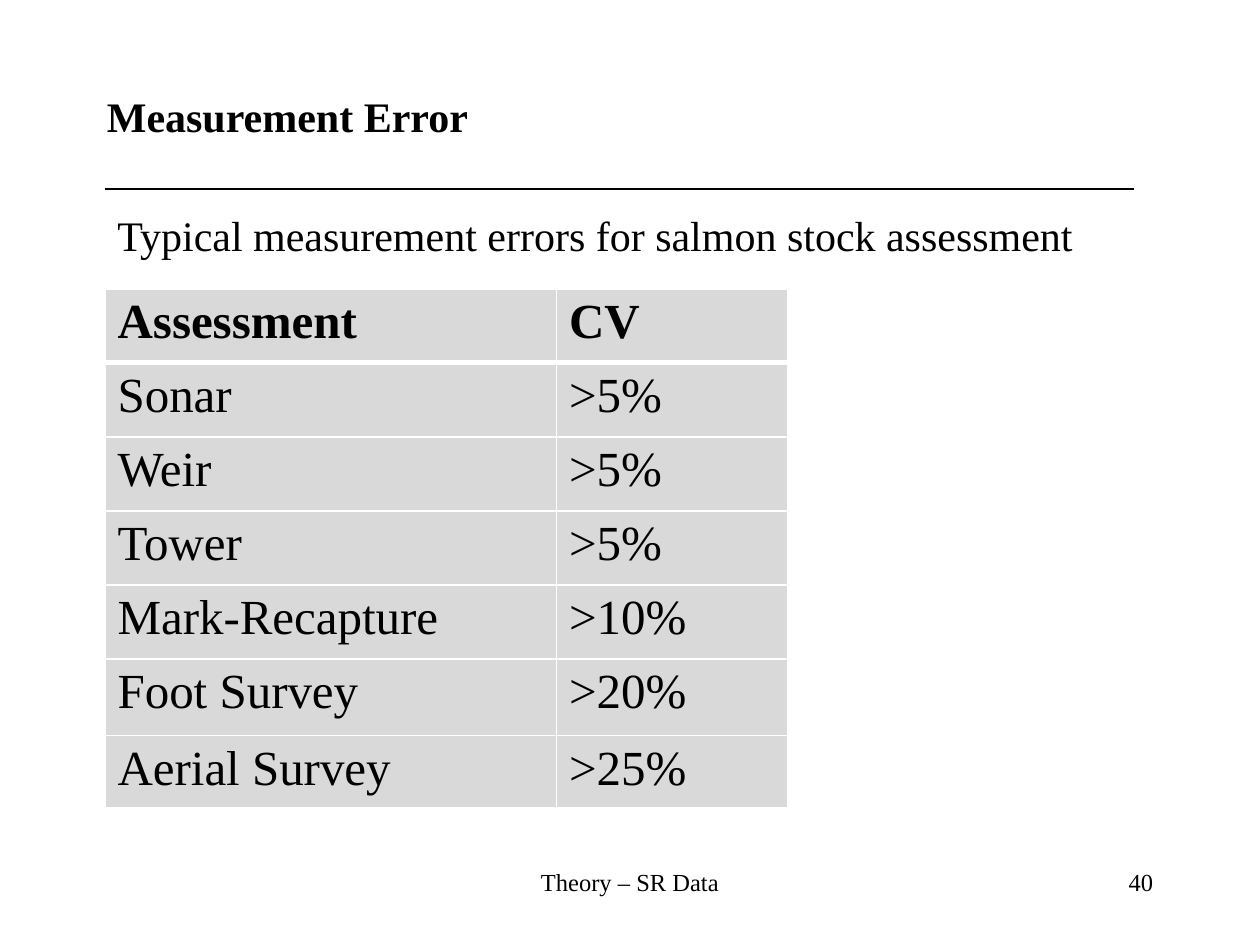
from pptx import Presentation
from pptx.dml.color import RGBColor
from pptx.enum.shapes import MSO_CONNECTOR
from pptx.enum.text import PP_ALIGN
from pptx.util import Pt
from lxml.etree import SubElement
from pptx.oxml.ns import qn

FONT = "Times New Roman"
ROWS = [
    ("Assessment", "CV"),
    ("Sonar", ">5%"),
    ("Weir", ">5%"),
    ("Tower", ">5%"),
    ("Mark-Recapture", ">10%"),
    ("Foot Survey", ">20%"),
    ("Aerial Survey", ">25%"),
]
WIDTHS = [258, 132]
HEIGHTS = [42.3] * 5 + [43.7, 41.5]


def color(code):
    return RGBColor.from_string(code)


def style(frame, size, bold=False, align=PP_ALIGN.LEFT):
    for para in frame.paragraphs:
        para.alignment = align
        for run in para.runs:
            run.font.name = FONT
            run.font.size = Pt(size)
            run.font.bold = bold
            run.font.color.rgb = color("000000")


def add_text(slide, box, text, size, bold=False, align=PP_ALIGN.LEFT, wrap=True):
    frame = slide.shapes.add_textbox(*map(Pt, box)).text_frame
    frame.word_wrap = wrap
    frame.text = text
    style(frame, size, bold, align)


def add_rule(slide, left, right, top):
    line = slide.shapes.add_connector(
        MSO_CONNECTOR.STRAIGHT, Pt(left), Pt(top), Pt(right), Pt(top))
    line.line.color.rgb = color("000000")
    line.line.width = Pt(0.75)
    SubElement(line._element.spPr, qn("a:effectLst"))


def add_edges(cell, top, bottom):
    props = cell._tc.get_or_add_tcPr()
    for side, width in (("L", 1), ("R", 1), ("T", top), ("B", bottom)):
        edge = SubElement(props, qn("a:ln" + side), w=str(Pt(width)))
        fill = SubElement(edge, qn("a:solidFill"))
        SubElement(fill, qn("a:srgbClr"), val="FFFFFF")


def add_grid(slide, left, top):
    grid = slide.shapes.add_table(
        len(ROWS), len(WIDTHS), Pt(left), Pt(top),
        Pt(sum(WIDTHS)), Pt(sum(HEIGHTS))).table
    for col, width in zip(grid.columns, WIDTHS):
        col.width = Pt(width)
    for row, height in zip(grid.rows, HEIGHTS):
        row.height = Pt(height)
    for i, values in enumerate(ROWS):
        for j, value in enumerate(values):
            cell = grid.cell(i, j)
            cell.text_frame.text = value
            style(cell.text_frame, 28, bold=i == 0)
            add_edges(cell, 3 if i == 1 else 1, 3 if i == 0 else 1)
            cell.fill.solid()
            cell.fill.fore_color.rgb = color("D9D9D9")


def main():
    deck = Presentation()
    deck.slide_width, deck.slide_height = Pt(720), Pt(540)
    slide = deck.slides.add_slide(deck.slide_layouts[6])
    add_text(slide, (246, 492, 228, 36), "Theory – SR Data", 14, align=PP_ALIGN.CENTER)
    add_text(slide, (516, 492, 150, 36), "40", 14, align=PP_ALIGN.RIGHT)
    add_text(slide, (54, 48, 222.5, 36), "Measurement Error", 24, bold=True, wrap=False)
    add_rule(slide, 60, 648, 108)
    add_text(slide, (60, 116, 624, 36),
             "Typical measurement errors for salmon stock assessment", 24)
    add_grid(slide, 60, 165)
    deck.save("out.pptx")


if __name__ == "__main__":
    main()
